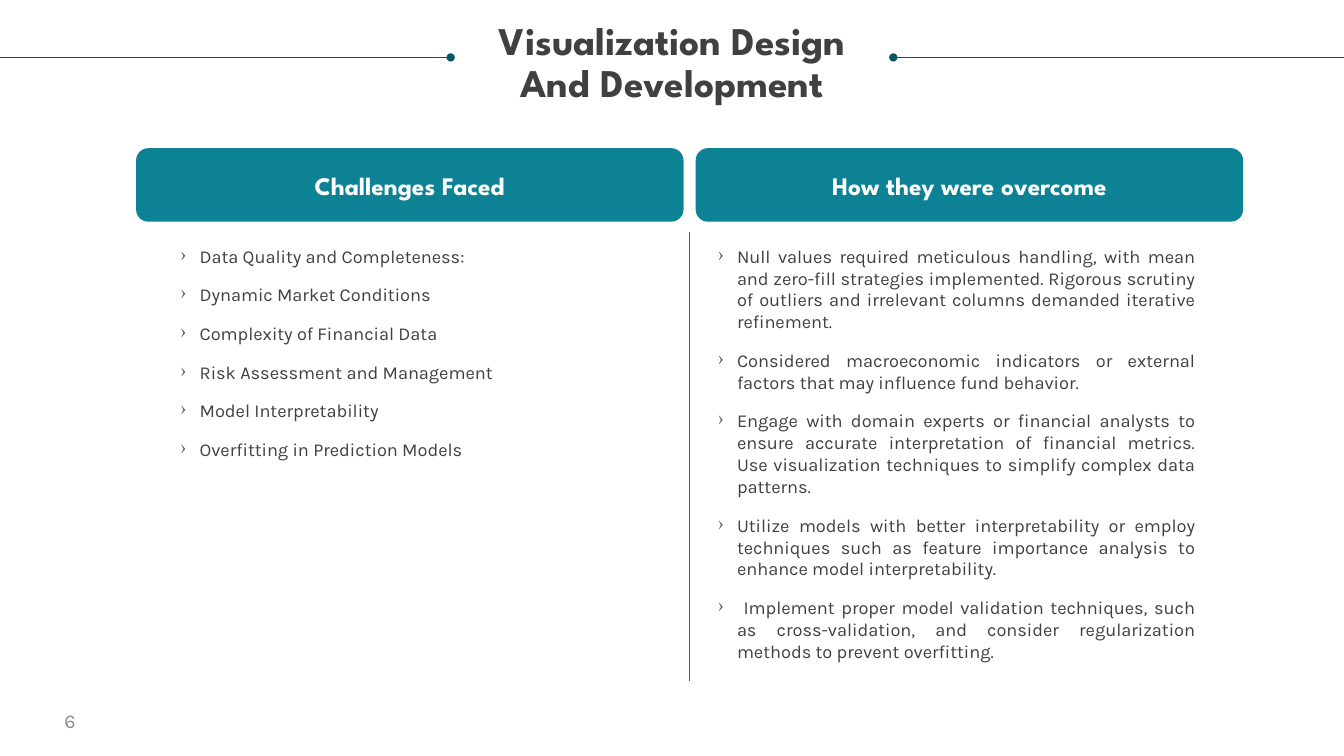
from lxml import etree
from pptx import Presentation
from pptx.dml.color import RGBColor
from pptx.enum.shapes import MSO_CONNECTOR, MSO_SHAPE
from pptx.enum.text import MSO_ANCHOR, PP_ALIGN
from pptx.oxml.ns import qn
from pptx.util import Pt

PX = 9144
COLORS = {
    "teal": "0D8295",
    "rule": "085764",
    "gray": "585858",
    "text": "404040",
    "number": "8C8C8C",
    "white": "FFFFFF",
}
HEADING, BODY = "League Spartan", "Karla"


def write(shape, lines, font, size, color, align, bold=False, anchor=MSO_ANCHOR.TOP, margin=None):
    frame = shape.text_frame
    frame.word_wrap = True
    frame.vertical_anchor = anchor
    if margin is not None:
        frame.margin_left = frame.margin_right = margin
        frame.margin_top = frame.margin_bottom = margin
    frame.text = "\n".join(lines)
    for para in frame.paragraphs:
        para.alignment = align
        para.font.name = font
        para.font.size = Pt(size)
        para.font.bold = bold
        para.font.color.rgb = RGBColor.from_string(COLORS[color])
    return frame.paragraphs


def draw_line(x1, y1, x2, y2, color):
    line = page.shapes.add_connector(
        MSO_CONNECTOR.STRAIGHT, x1 * PX, y1 * PX, x2 * PX, y2 * PX)
    line.line.color.rgb = RGBColor.from_string(COLORS[color])
    line.line.width = Pt(0.5)
    etree.SubElement(line._element.spPr, qn("a:effectLst"))
    return line


deck = Presentation()
deck.slide_width, deck.slide_height = 1333 * PX, 750 * PX
page = deck.slides.add_slide(deck.slide_layouts[6])

title = page.shapes.add_textbox(25 * PX, 21 * PX, 1283 * PX, 85 * PX)
for para in write(title, ["Visualization Design", "And Development"],
                  HEADING, 28, "text", PP_ALIGN.CENTER, bold=True, margin=0):
    para.line_spacing = 0.9

for edge, dot in [(0, 447), (1333, 886)]:
    rule = draw_line(edge, 57, dot, 57, "rule")
    etree.SubElement(rule.line._get_or_add_ln(), qn("a:tailEnd"), type="oval")

draw_line(684, 230, 684, 676, "gray")

columns = [
    ("Challenges Faced", 135, 179, 478, 254, PP_ALIGN.LEFT, [
        "Data Quality and Completeness:",
        "Dynamic Market Conditions",
        "Complexity of Financial Data",
        "Risk Assessment and Management",
        "Model Interpretability",
        "Overfitting in Prediction Models",
    ]),
    ("How they were overcome", 690, 712, 473, 451, PP_ALIGN.JUSTIFY, [
        "Null values required meticulous handling, with mean and zero-fill strategies "
        "implemented. Rigorous scrutiny of outliers and irrelevant columns demanded "
        "iterative refinement.",
        "Considered macroeconomic indicators or external factors that may influence "
        "fund behavior.",
        "Engage with domain experts or financial analysts to ensure accurate "
        "interpretation of financial metrics. Use visualization techniques to simplify "
        "complex data patterns.",
        "Utilize models with better interpretability or employ techniques such as "
        "feature importance analysis to enhance model interpretability.",
        " Implement proper model validation techniques, such as cross-validation, and "
        "consider regularization methods to prevent overfitting.",
    ]),
]
for heading, header_left, list_left, list_width, list_height, align, points in columns:
    header = page.shapes.add_shape(
        MSO_SHAPE.ROUNDED_RECTANGLE, header_left * PX, 147 * PX, 543 * PX, 73 * PX)
    header.shadow.inherit = False
    header.fill.solid()
    header.fill.fore_color.rgb = RGBColor.from_string(COLORS["teal"])
    header.line.fill.background()
    write(header, [heading], HEADING, 18, "white", PP_ALIGN.CENTER,
          bold=True, anchor=MSO_ANCHOR.MIDDLE)

    box = page.shapes.add_textbox(
        list_left * PX, 243 * PX, list_width * PX, list_height * PX)
    for para in write(box, points, BODY, 13, "text", align, margin=0):
        para.space_before = Pt(12)
        props = para._p.get_or_add_pPr()
        props.set("marL", str(19 * PX))
        props.set("indent", str(-19 * PX))
        bullet_color = etree.Element(qn("a:buClr"))
        etree.SubElement(bullet_color, qn("a:srgbClr"), val=COLORS["gray"])
        bullet = etree.Element(qn("a:buChar"), char="›")
        run_defaults = props.find(qn("a:defRPr"))
        run_defaults.addprevious(bullet_color)
        run_defaults.addprevious(bullet)

number = page.shapes.add_textbox(54 * PX, 695 * PX, 300 * PX, 40 * PX)
write(number, ["6"], BODY, 14, "number", PP_ALIGN.LEFT, anchor=MSO_ANCHOR.MIDDLE)

deck.save("out.pptx")
